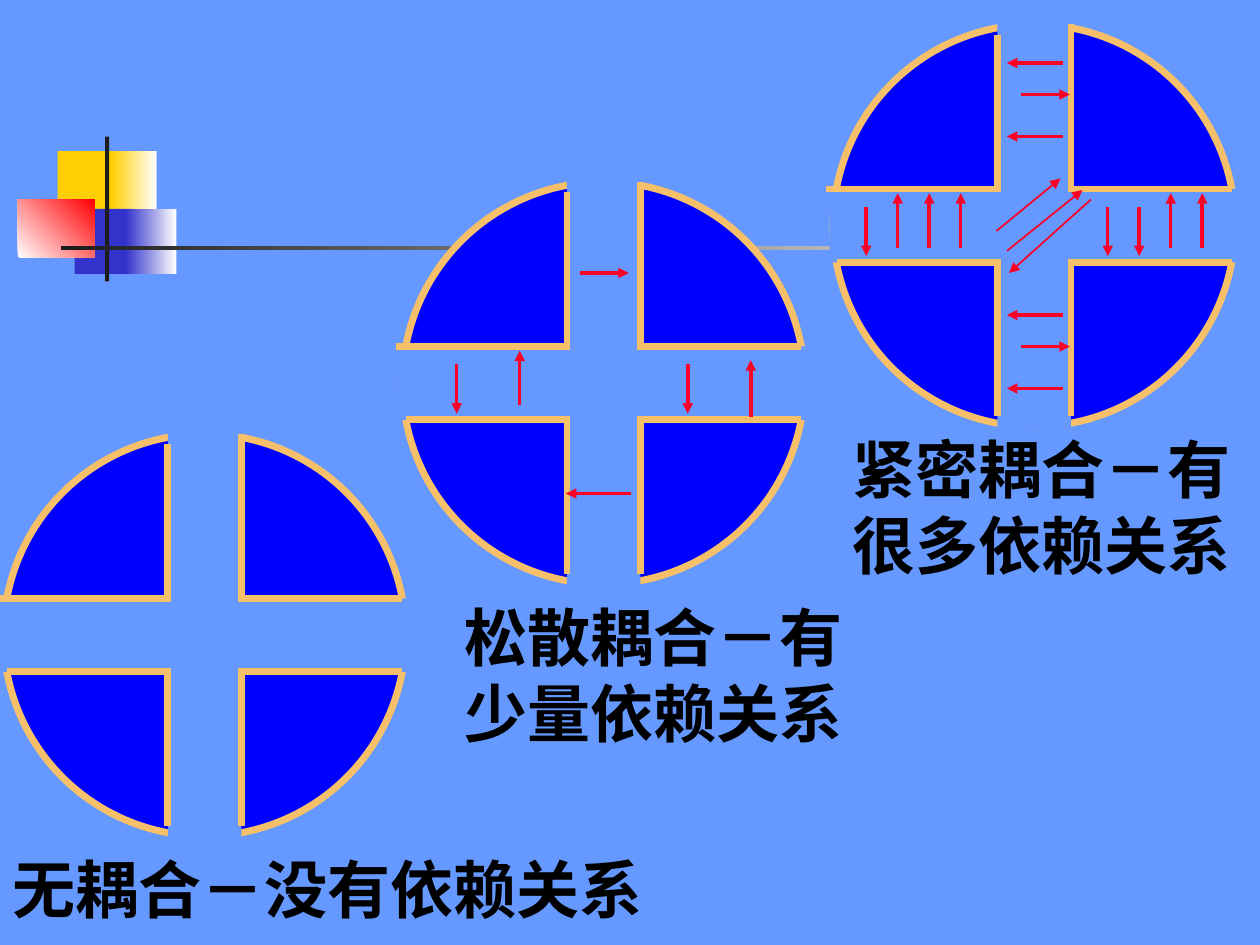
from pptx import Presentation
from pptx.dml.color import RGBColor
from pptx.enum.shapes import MSO_CONNECTOR as Conn, MSO_SHAPE as Kind
from pptx.oxml.ns import qn
from pptx.util import Inches, Pt
from lxml.etree import SubElement as sub

SKY, BLUE, GOLD, RED, WHITE = "6699FF", "0000FF", "F6BF69", "FC0128", "FFFFFF"
FONT = "Noto Sans CJK SC"
CELL = Inches(1) / 12

deck = Presentation()
deck.slide_width, deck.slide_height = round(120 * CELL), round(90 * CELL)
slide = deck.slides.add_slide(deck.slide_layouts[6])
back = slide.background.fill
back.solid()
back.fore_color.rgb = RGBColor.from_string(SKY)


def block(kind, box, tint, fade=None, angle=0, edge=None):
    shape = slide.shapes.add_shape(kind, *[round(n * CELL) for n in box])
    shape.shadow.inherit = False
    if fade:
        shape.fill.gradient()
        shape.fill.gradient_angle = angle
        for stop, hue in zip(shape.fill.gradient_stops, (tint, fade)):
            stop.color.rgb = RGBColor.from_string(hue)
    else:
        shape.fill.solid()
        shape.fill.fore_color.rgb = RGBColor.from_string(tint)
    if edge:
        shape.line.color.rgb = RGBColor.from_string(edge)
        shape.line.width = Pt(4)
    else:
        shape.line.fill.background()


def stroke(spot, ends, tint, width, arrow=False):
    col, row = spot
    x1, y1, x2, y2 = ends
    pts = [round(n * CELL) for n in (col + x1, row + y1, col + x2, row + y2)]
    line = slide.shapes.add_connector(Conn.STRAIGHT, *pts)
    line.line.color.rgb = RGBColor.from_string(tint)
    line.line.width = Pt(width)
    if arrow:
        sub(line.line._get_or_add_ln(), qn("a:tailEnd"), type="triangle")
    sub(line._element.spPr, qn("a:effectLst"))


for box, tint, fade, angle in [
    ((5.5, 14.4, 5.8, 6.2), "FFCF01", None, 0),
    ((10.6, 14.4, 4.3, 6.2), "FFCF01", WHITE, 0),
    ((7.1, 19.9, 5.5, 6.2), "3333CC", None, 0),
    ((12, 19.9, 4.8, 6.2), "3333CC", WHITE, 0),
    ((1.7, 19, 7.3, 5.5), WHITE, "FF0000", 45),
    ((10, 13, 0.4, 13.8), "1C1C1C", None, 0),
    ((5.8, 23.4, 108, 0.4), "1C1C1C", WHITE, 0),
]:
    block(Kind.RECTANGLE, box, tint, fade, angle)

none, tight, loose = (0, 40), (79, 1), (38, 16)
edges = [
    (16, 2.33, 16, 16.67), (16, 24.33, 16, 38.67),
    (23, 24.33, 23, 38.67), (23, 1.33, 23, 16.67),
    (38.33, 17, 22.67, 17), (16.33, 17, -0.33, 17),
    (16.33, 24, 0.67, 24), (38.33, 24, 22.67, 24),
]
for col, row in (none, tight, loose):
    block(Kind.OVAL, (col + 0.33, row + 1.33, 38.3, 38.3), BLUE, edge=GOLD)
    block(Kind.RECTANGLE, (col + 16, row, 7, 40), SKY)
    block(Kind.RECTANGLE, (col, row + 17, 40, 7), SKY)
    for ends in edges:
        stroke((col, row), ends, GOLD, 4)

for spot, downs, ups in [
    (tight, (3.5, 26.5, 29.5), (6.5, 9.5, 12.5, 32.5, 35.5)),
    (loose, (5.5, 27.5), (11.5,)),
]:
    for x in downs:
        stroke(spot, (x, 18.7, x, 23.4), RED, 2, True)
    for x in ups:
        stroke(spot, (x, 22.6, x, 17.4), RED, 2, True)

for top in (5, 29):
    for y, start, end in [(0, 22.2, 16.9), (3, 18.2, 22.9), (7, 22.2, 16.9)]:
        stroke(tight, (start, top + y, end, top + y), RED, 2, True)
for ends in [(17.2, 10, 21.9, 10), (22.1, 31, 15.9, 31), (33.5, 23.7, 33.5, 18.3)]:
    stroke(loose, ends, RED, 2, True)
for ends in [(15.9, 21, 22, 16), (16.9, 22.9, 24.1, 17.1), (24.9, 18, 17.1, 25)]:
    stroke(tight, ends, RED, 1, True)

for box, lines in [
    ((0, 80, 63, 8.4), ["无耦合－没有依赖关系"]),
    ((43.1, 56, 40, 15.6), ["松散耦合－有", "少量依赖关系"]),
    ((80, 40, 39, 15.6), ["紧密耦合－有", "很多依赖关系"]),
]:
    frame = slide.shapes.add_textbox(*[round(n * CELL) for n in box]).text_frame
    frame.word_wrap = True
    frame.margin_top = Inches(0.09)
    frame.text = "\n".join(lines)
    for para in frame.paragraphs:
        para.line_spacing = Pt(43)
        font = para.runs[0].font
        for key, value in {"name": FONT, "size": Pt(36), "bold": True}.items():
            setattr(font, key, value)
        font.color.rgb = RGBColor.from_string("000000")
        sub(font._element, qn("a:ea"), typeface=FONT)

deck.save("out.pptx")
